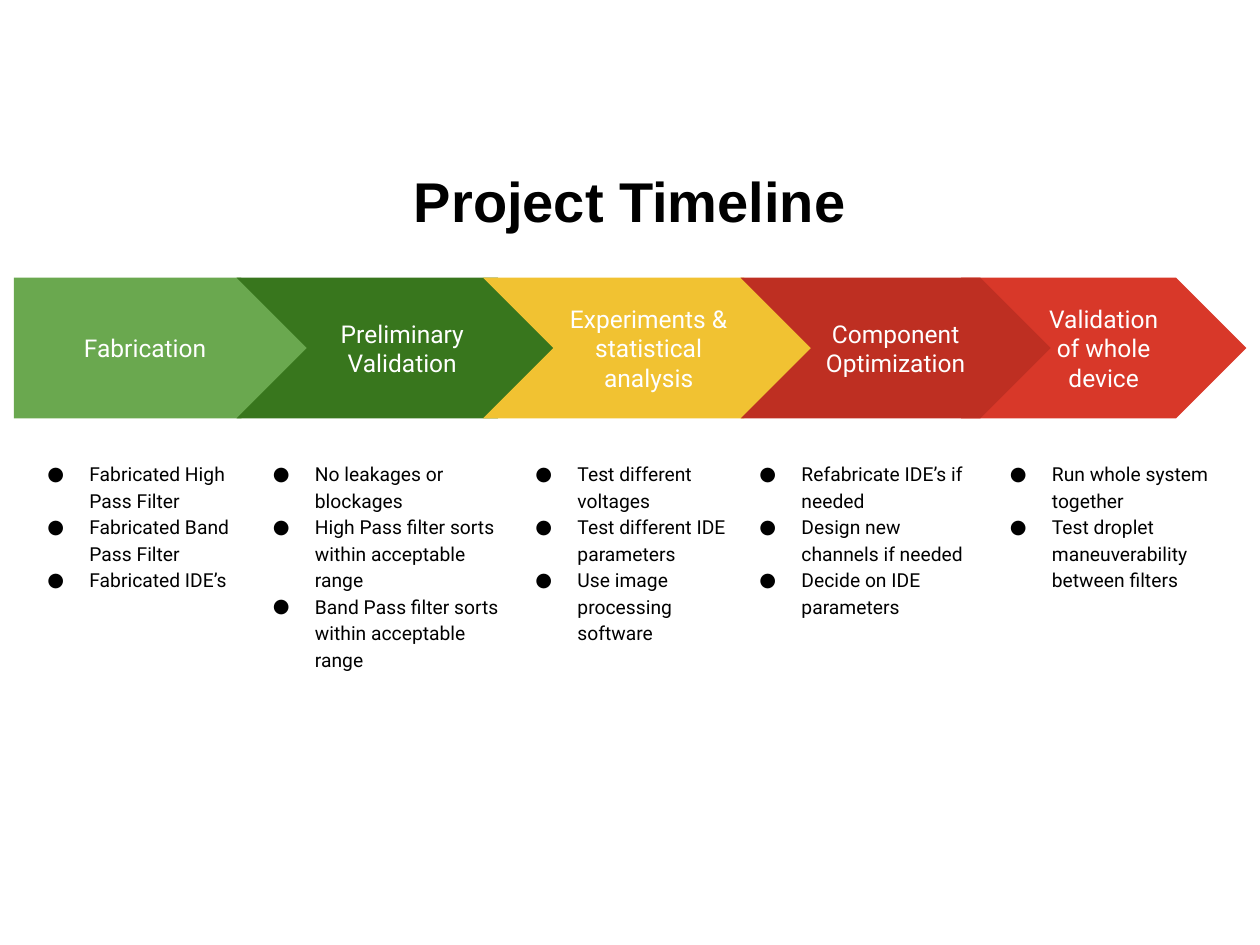
from pptx import Presentation
from pptx.util import Pt
from pptx.dml.color import RGBColor
from pptx.enum.shapes import MSO_SHAPE as Shape
from pptx.enum.text import PP_ALIGN as Align, MSO_ANCHOR as Anchor
from pptx.oxml.ns import qn
from lxml.etree import SubElement

BLACK = RGBColor(0x00, 0x00, 0x00)
WHITE = RGBColor(0xFF, 0xFF, 0xFF)
LIME = RGBColor(0x6A, 0xA8, 0x4F)
GREEN = RGBColor(0x38, 0x76, 0x1D)
GOLD = RGBColor(0xF1, 0xC2, 0x32)
RED = RGBColor(0xD8, 0x38, 0x29)
BRICK = RGBColor(0xBE, 0x2F, 0x22)

TITLE = "Project Timeline"
# Back to front: label, fill, (arrow left, width), (list left, width), tasks
STEPS = [
    ("Fabrication", LIME, (8, 170), (8, 151),
     ["Fabricated High Pass Filter", "Fabricated Band Pass Filter",
      "Fabricated IDE’s"]),
    ("Preliminary Validation", GREEN, (135.2, 189.4), (136.9, 158.5),
     ["No leakages or blockages",
      "High Pass filter sorts within acceptable range",
      "Band Pass filter sorts within acceptable range"]),
    ("Experiments & statistical analysis", GOLD, (276, 189.4), (286.9, 143),
     ["Test different voltages", "Test different IDE parameters",
      "Use image processing software"]),
    ("Validation of whole device", RED, (549.2, 163), (558, 143),
     ["Run whole system together",
      "Test droplet maneuverability between filters"]),
    ("Component Optimization", BRICK, (423.2, 177.2), (414.9, 151),
     ["Refabricate IDE’s if needed", "Design new channels if needed",
      "Decide on IDE parameters"]),
]
ARROW_TOP, ARROW_H = 158.7, 80.4
LIST_TOP, LIST_H = 255, 185
INSET, INDENT, HANG = 7.2, 36, 24

HEAD = dict(name="Arial", size=Pt(32), bold=True)
LABEL = dict(name="Roboto", size=Pt(14))
TASK = dict(name="Roboto", size=Pt(11))


def write(shape, lines, style, color, align, anchor):
    """Fill a shape's frame with one paragraph per line."""
    frame = shape.text_frame
    frame.word_wrap = True
    frame.vertical_anchor = anchor
    for side in ("left", "top", "right", "bottom"):
        setattr(frame, f"margin_{side}", Pt(INSET))
    frame.text = "\n".join(lines)
    for para in frame.paragraphs:
        para.alignment = align
        font = para.runs[0].font
        font.color.rgb = color
        for key, value in style.items():
            setattr(font, key, value)
    return frame.paragraphs


def bullet(para):
    para.line_spacing = 1.15
    props = para._p.get_or_add_pPr()
    props.set("marL", str(Pt(INDENT)))
    props.set("indent", str(-Pt(HANG)))
    SubElement(props, qn("a:buFont"), typeface="Roboto")
    SubElement(props, qn("a:buChar"), char="●")


deck = Presentation()
deck.slide_width, deck.slide_height = Pt(720), Pt(540)
shapes = deck.slides.add_slide(deck.slide_layouts[6]).shapes

# Title
box = shapes.add_textbox(Pt(36), Pt(83), Pt(648), Pt(63))
write(box, [TITLE], HEAD, BLACK, Align.CENTER, Anchor.MIDDLE)

# Arrows with their task lists
for i, (label, fill, (left, width), (x, w), tasks) in enumerate(STEPS):
    kind = Shape.CHEVRON if i else Shape.PENTAGON
    arrow = shapes.add_shape(kind, Pt(left), Pt(ARROW_TOP), Pt(width), Pt(ARROW_H))
    arrow.shadow.inherit = False
    arrow.adjustments[0] = 0.5
    arrow.fill.solid()
    arrow.fill.fore_color.rgb = fill
    arrow.line.fill.background()
    write(arrow, [label], LABEL, WHITE, Align.CENTER, Anchor.MIDDLE)

    box = shapes.add_textbox(Pt(x), Pt(LIST_TOP), Pt(w), Pt(LIST_H))
    for para in write(box, tasks, TASK, BLACK, Align.LEFT, Anchor.TOP):
        bullet(para)

deck.save("out.pptx")
